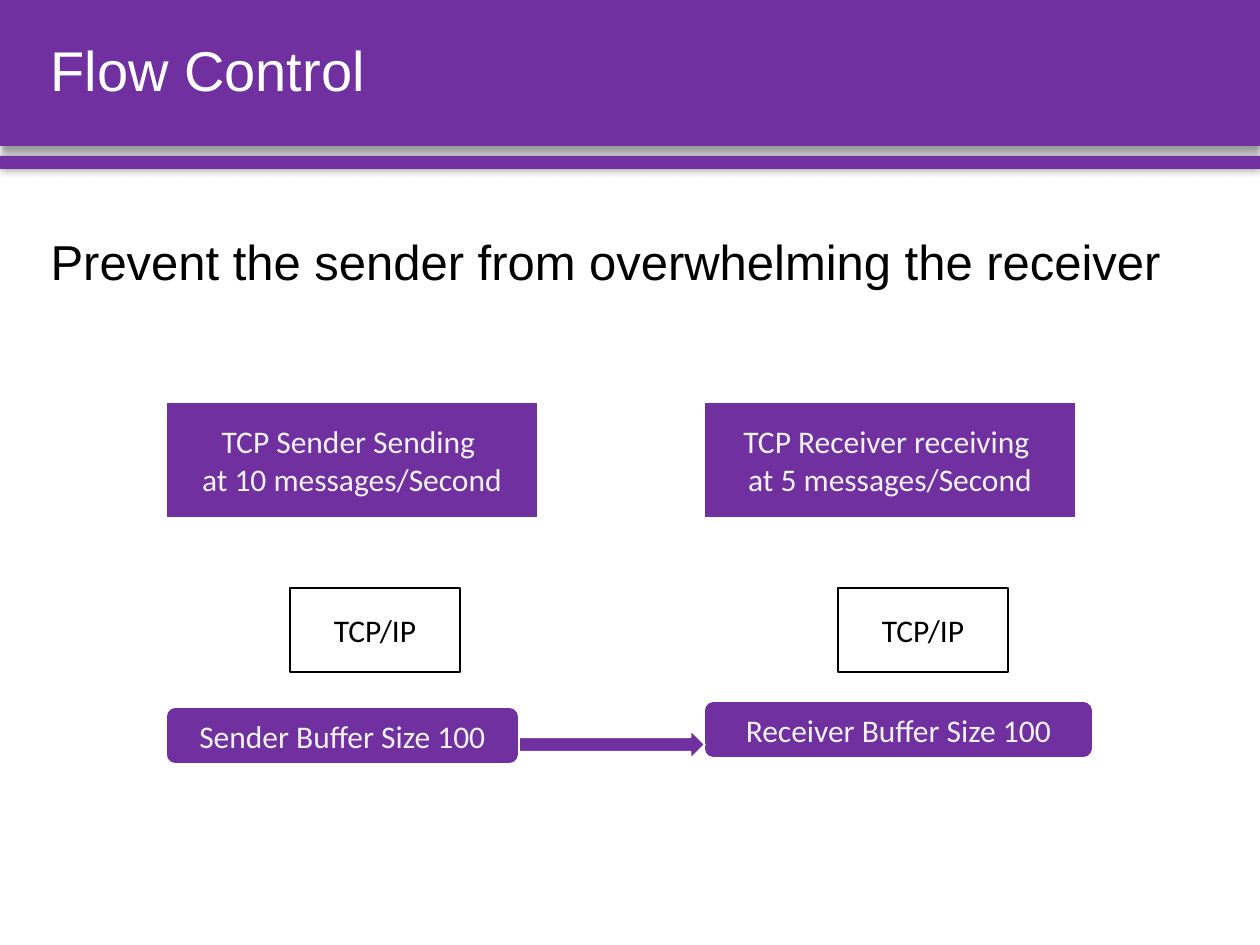
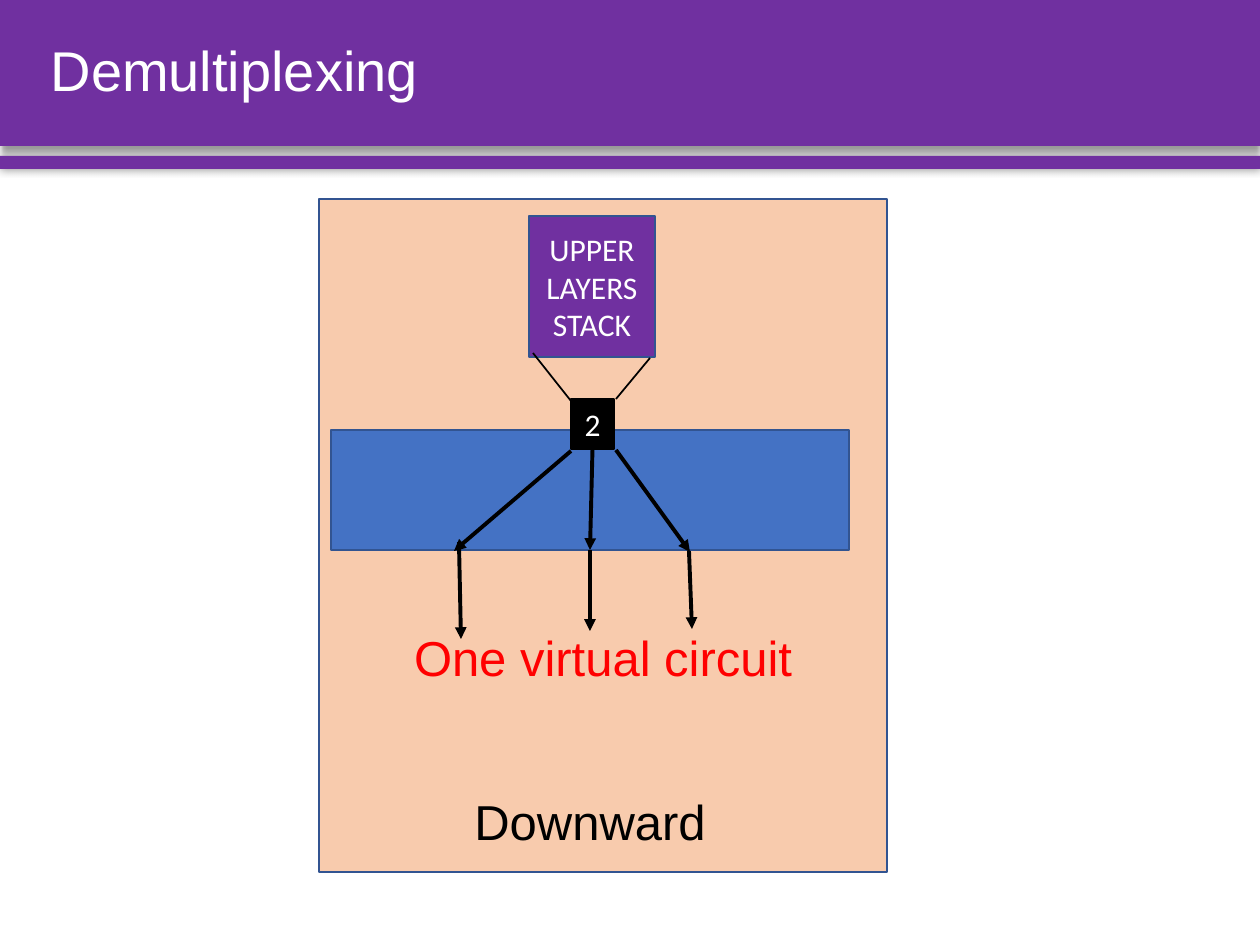
from lxml import etree
from pptx import Presentation
from pptx import util as u
from pptx.dml.color import RGBColor
from pptx.enum import shapes, text
from pptx.oxml.ns import qn

C = {"purple": "7030A0", "white": "FFFFFF", "black": "000000", "pale": "F2F2F2",
     "peach": "F8CBAD", "blue": "4472C4", "edge": "325491", "red": "FF0000"}
RECT = shapes.MSO_SHAPE.RECTANGLE
ROUND = shapes.MSO_SHAPE.ROUNDED_RECTANGLE
ARROW = shapes.MSO_SHAPE.RIGHT_ARROW
LEFT, CENTER, JUSTIFY = text.PP_ALIGN.LEFT, text.PP_ALIGN.CENTER, text.PP_ALIGN.JUSTIFY
PX = 914400 / 126


def write(tf, lines, size, font, color, align, anchor=text.MSO_ANCHOR.MIDDLE):
    tf.word_wrap = True
    tf.vertical_anchor = anchor
    p = tf.paragraphs[0]
    p.alignment = align
    for i, line in enumerate(lines):
        if i:
            p.add_line_break()
        r = p.add_run()
        r.text = line
        r.font.size = u.Pt(size)
        r.font.name = font
        r.font.color.rgb = RGBColor.from_string(C[color])
    return p


def add_box(s, kind, at, fill, line=None, lines=(), color="white"):
    sp = s.shapes.add_shape(kind, *[round(n * PX) for n in at])
    sp.shadow.inherit = False
    sp.fill.solid()
    sp.fill.fore_color.rgb = RGBColor.from_string(C[fill])
    if line:
        sp.line.color.rgb = RGBColor.from_string(C[line])
        sp.line.width = u.Pt(1)
    else:
        sp.line.fill.background()
    if lines:
        write(sp.text_frame, lines, 18, "Calibri", color, CENTER)
    return sp


prs = Presentation()
prs.slide_width, prs.slide_height = u.Inches(10), u.Inches(7.5)

flow = prs.slides.add_slide(prs.slide_layouts[1])
demux = prs.slides.add_slide(prs.slide_layouts[5])

master_tree = prs.slide_master.shapes.element
for i, (top, height, blur, dist, angle) in enumerate([(0, 146, 4, 3, 90), (156, 13, 5, 0, 0)]):
    band = add_box(flow, RECT, (0, top, 1260, height), "purple")
    effects = band.element.spPr.find(qn("a:effectLst"))
    shadow = etree.SubElement(effects, qn("a:outerShdw"), blurRad=str(u.Pt(blur)),
                              dist=str(u.Pt(dist)), dir=str(angle * 60000),
                              algn="ctr", rotWithShape="0")
    tint = etree.SubElement(shadow, qn("a:srgbClr"), val=C["black"])
    etree.SubElement(tint, qn("a:alpha"), val="40000")
    master_tree.insert(2 + i, band.element)

for s, heading in [(flow, "Flow Control"), (demux, "Demultiplexing")]:
    title = s.shapes.title
    title.left, title.top, title.width, title.height = [round(n * PX) for n in (38, 0, 1192, 146)]
    p = write(title.text_frame, [heading], 32, "Arial", "white", LEFT)
    p.line_spacing = 0.9

body = flow.placeholders[1]
body.left, body.top, body.width, body.height = [round(n * PX) for n in (38, 232, 1192, 102)]
p = write(body.text_frame, ["Prevent the sender from overwhelming the receiver"],
          28, "Arial", "black", JUSTIFY, text.MSO_ANCHOR.TOP)
p.line_spacing = 0.9
p.space_before = u.Pt(10)
pPr = p._p.get_or_add_pPr()
pPr.set("marL", "0")
pPr.set("indent", "0")
etree.SubElement(pPr, qn("a:buNone"))

for left in (290, 838):
    add_box(flow, RECT, (left, 588, 170, 84), "white", "black", ["TCP/IP"], "black")
for kind, at, lines in [
    (RECT, (166, 402, 372, 116), ["TCP Sender Sending ", "at 10 messages/Second"]),
    (RECT, (704, 402, 372, 116), ["TCP Receiver receiving ", "at 5 messages/Second"]),
    (ROUND, (166, 707, 353, 57), ["Sender Buffer Size 100"]),
    (ROUND, (704, 701, 389, 57), ["Receiver Buffer Size 100"]),
    (ARROW, (519, 730, 186, 29), []),
]:
    add_box(flow, kind, at, "purple", "white", lines, "pale")

add_box(demux, RECT, (319, 199, 568, 673), "peach", "edge")
add_box(demux, RECT, (529, 216, 126, 141), "purple", "edge", ["UPPER", "LAYERS", "STACK"])
layer = add_box(demux, RECT, (331, 430, 518, 120), "blue", "edge")
gate = add_box(demux, RECT, (571, 399, 43, 50), "black", "black", ["2"])

for at, label, color in [
    ((368, 621, 470, 72), "One virtual circuit", "red"),
    ((421, 785, 338, 72), "Downward", "black"),
]:
    tb = demux.shapes.add_textbox(*[round(n * PX) for n in at])
    write(tb.text_frame, [label], 28, "Arial", color, CENTER, text.MSO_ANCHOR.TOP)

for ends, width, source, target in [
    ((533, 353, 571, 401), 1, None, None),
    ((650, 358, 616, 399), 1, None, None),
    ((616, 450, 690, 552), 2.25, None, None),
    ((593, 449, 590, 550), 2.25, gate, layer),
    ((571, 451, 454, 551), 2.25, None, None),
    ((459, 542, 461, 639), 2.25, None, None),
    ((590, 550, 590, 631), 2.25, layer, None),
    ((689, 551, 692, 629), 2.25, None, None),
]:
    cx = demux.shapes.add_connector(shapes.MSO_CONNECTOR.STRAIGHT, *[round(n * PX) for n in ends])
    cx.line.color.rgb = RGBColor.from_string(C["black"])
    cx.line.width = u.Pt(width)
    if width > 1:
        etree.SubElement(cx.line._get_or_add_ln(), qn("a:tailEnd"), type="triangle")
    etree.SubElement(cx.element.spPr, qn("a:effectLst"))
    if source:
        cx.begin_connect(source, 2)
    if target:
        cx.end_connect(target, 2)

prs.save("out.pptx")
